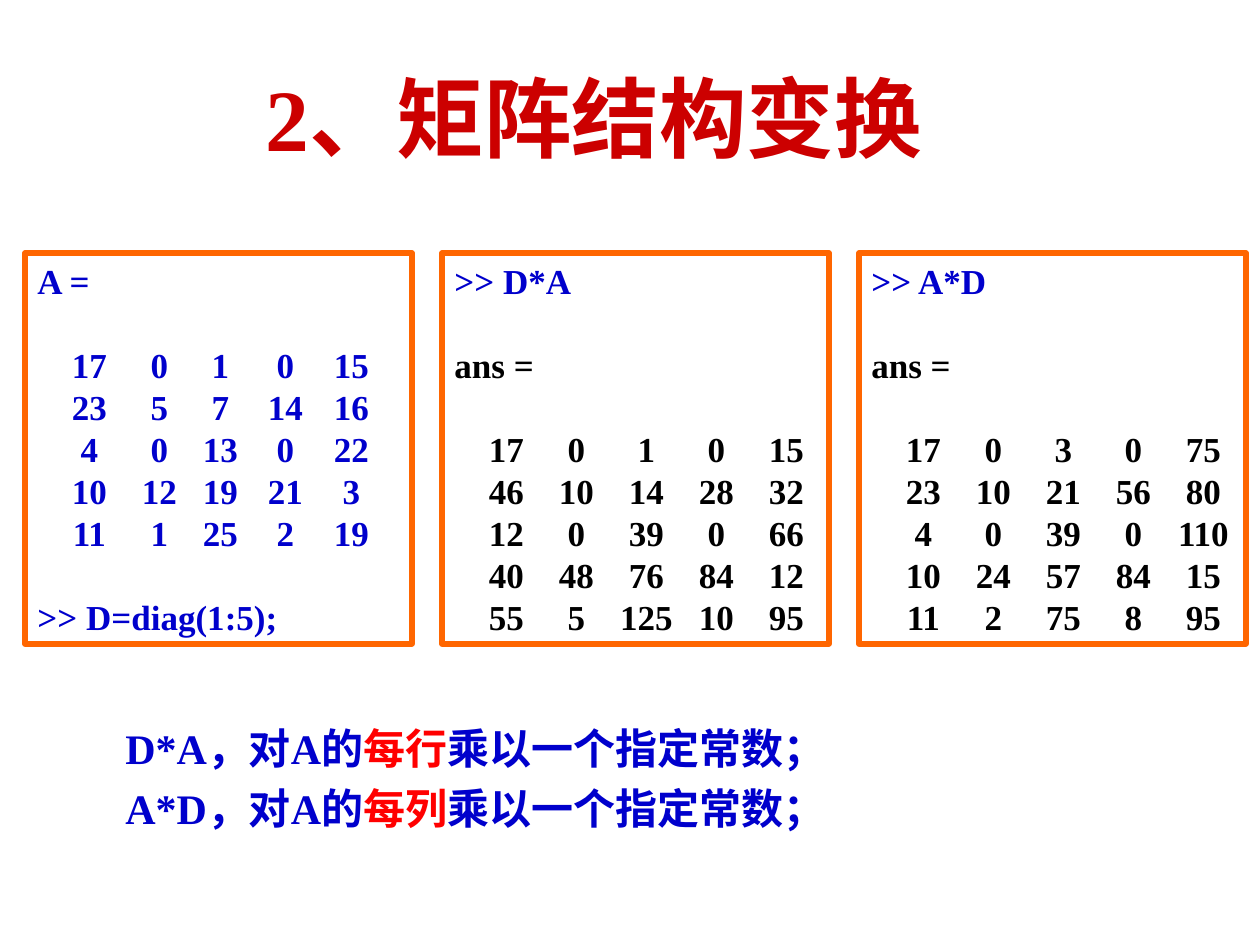
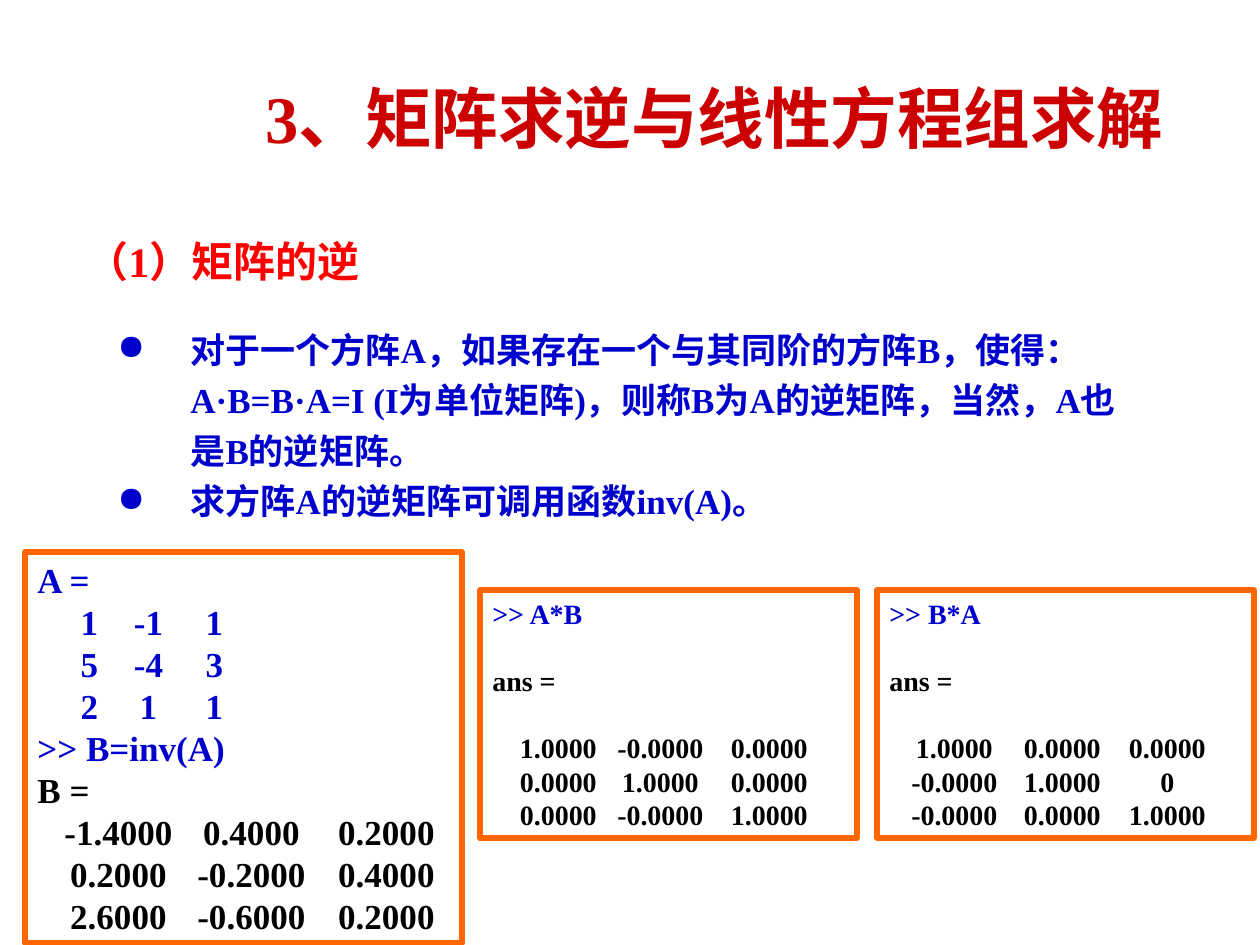
from dataclasses import dataclass

from lxml.etree import SubElement
from pptx import Presentation
from pptx.dml.color import RGBColor
from pptx.enum.lang import MSO_LANGUAGE_ID as Language
from pptx.enum.shapes import MSO_SHAPE as ShapeKind
from pptx.enum.text import MSO_ANCHOR as Anchor, PP_ALIGN as Align
from pptx.oxml.ns import qn
from pptx.util import Emu, Pt

PX_PER_INCH = 126
FONT = "Times New Roman"
LINE_HEIGHT = 1.2

TITLE_RED = RGBColor(0xCC, 0x00, 0x00)
BLUE = RGBColor(0x00, 0x00, 0xCC)
RED = RGBColor(0xFF, 0x00, 0x00)
BLACK = RGBColor(0x00, 0x00, 0x00)
ORANGE = RGBColor(0xFF, 0x66, 0x00)

WIDE_COLUMNS = (52, 122, 192, 262, 332)


def px(length: int) -> Emu:
    return Emu(round(length * 914400 / PX_PER_INCH))


@dataclass(frozen=True)
class Box:
    left: int
    top: int
    width: int
    height: int

    def emu(self) -> tuple[Emu, ...]:
        return tuple(px(side) for side in (self.left, self.top, self.width, self.height))


@dataclass(frozen=True)
class Block:
    """Console output: one plain line, or matrix rows centred on column stops."""
    rows: tuple[str, ...]
    color: RGBColor = BLUE
    columns: tuple[int, ...] = ()
    blank_above: bool = False


@dataclass(frozen=True)
class Panel:
    box: Box
    size: int
    blocks: tuple[Block, ...]


def product_blocks(command: str, columns: tuple[int, ...], *rows: str) -> tuple[Block, ...]:
    return (
        Block((command,)),
        Block(("ans =",), BLACK, blank_above=True),
        Block(rows, BLACK, columns, blank_above=True),
    )


TOP_ROW = [Box(25 + 417 * column, 253, 387, 391) for column in range(3)]
PRODUCT_ROW = [Box(480 + 397 * column, 590, 377, 248) for column in range(2)]

STRUCTURE_PANELS = (
    Panel(TOP_ROW[0], 20, (
        Block(("A =",)),
        Block(("17 0 1 0 15", "23 5 7 14 16", "4 0 13 0 22", "10 12 19 21 3", "11 1 25 2 19"),
              columns=(52, 122, 183, 248, 314), blank_above=True),
        Block((">> D=diag(1:5);",), blank_above=True),
    )),
    Panel(TOP_ROW[1], 20, product_blocks(
        ">> D*A", WIDE_COLUMNS,
        "17 0 1 0 15", "46 10 14 28 32", "12 0 39 0 66", "40 48 76 84 12", "55 5 125 10 95")),
    Panel(TOP_ROW[2], 20, product_blocks(
        ">> A*D", WIDE_COLUMNS,
        "17 0 3 0 75", "23 10 21 56 80", "4 0 39 0 110", "10 24 57 84 15", "11 2 75 8 95")),
)

INVERSE_PANELS = (
    Panel(Box(25, 552, 437, 391), 20, (
        Block(("A =",)),
        Block(("1 -1 1", "5 -4 3", "2 1 1"), columns=(52, 111, 177)),
        Block((">> B=inv(A)",)),
        Block(("B =",), BLACK),
        Block(("-1.4000 0.4000 0.2000", "0.2000 -0.2000 0.4000", "2.6000 -0.6000 0.2000"),
              BLACK, (81, 214, 349)),
    )),
    Panel(PRODUCT_ROW[0], 16, product_blocks(
        ">> A*B", (66, 168, 277),
        "1.0000 -0.0000 0.0000", "0.0000 1.0000 0.0000", "0.0000 -0.0000 1.0000")),
    Panel(PRODUCT_ROW[1], 16, product_blocks(
        ">> B*A", (65, 173, 278),
        "1.0000 0.0000 0.0000", "-0.0000 1.0000 0", "-0.0000 0.0000 1.0000")),
)


def format_paragraph(paragraph, size: int, color: RGBColor, spacing: float = 1) -> None:
    paragraph.alignment = Align.LEFT
    paragraph.line_spacing = Pt(size * LINE_HEIGHT * spacing)
    for run in paragraph.runs:
        run.font.name = FONT
        run.font.size = Pt(size)
        run.font.bold = True
        run.font.color.rgb = color
        run.font.language_id = Language.SIMPLIFIED_CHINESE


def add_column_stops(paragraph, columns: tuple[int, ...]) -> None:
    stops = SubElement(paragraph._p.get_or_add_pPr(), qn("a:tabLst"))
    for column in columns:
        SubElement(stops, qn("a:tab"), pos=str(px(column)), algn="ctr")


def add_bullet(paragraph, color: RGBColor, indent: int) -> None:
    properties = paragraph._p.get_or_add_pPr()
    properties.set("marL", str(px(indent)))
    properties.set("indent", str(px(-indent)))
    bullet_color = SubElement(properties, qn("a:buClr"))
    SubElement(bullet_color, qn("a:srgbClr"), val=str(color))
    SubElement(properties, qn("a:buChar"), char="●")


def add_text(slide, box: Box, text: str, size: int, color: RGBColor, spacing: float = 1):
    frame = slide.shapes.add_textbox(*box.emu()).text_frame
    frame.word_wrap = True
    frame.text = text
    for paragraph in frame.paragraphs:
        format_paragraph(paragraph, size, color, spacing)
    return frame


def add_title(slide, text: str, size: int) -> None:
    frame = add_text(slide, Box(253, 38, 944, 158), text, size, TITLE_RED)
    frame.vertical_anchor = Anchor.MIDDLE


def add_panel(slide, panel: Panel) -> None:
    shape = slide.shapes.add_shape(ShapeKind.RECTANGLE, *panel.box.emu())
    shape.shadow.inherit = False
    shape.fill.background()
    shape.line.color.rgb = ORANGE
    shape.line.width = Pt(3)
    frame = shape.text_frame
    frame.word_wrap = True
    frame.vertical_anchor = Anchor.TOP

    lines = [(block, index, row) for block in panel.blocks for index, row in enumerate(block.rows)]
    for number, (block, index, row) in enumerate(lines):
        paragraph = frame.add_paragraph() if number else frame.paragraphs[0]
        paragraph.text = "\t" + "\t".join(row.split()) if block.columns else row
        format_paragraph(paragraph, panel.size, block.color)
        if block.blank_above and index == 0:
            paragraph.space_before = Pt(panel.size * LINE_HEIGHT)
        if block.columns:
            add_column_stops(paragraph, block.columns)


def add_scaling_rules(slide) -> None:
    """Two sentences, each with its key word in red."""
    frame = add_text(slide, Box(113, 706, 1022, 134), "D*A，对A的\nA*D，对A的", 24, BLUE)
    for paragraph, key_word in zip(frame.paragraphs, ("每行", "每列")):
        for part in (key_word, "乘以一个指定常数；"):
            paragraph.add_run().text = part
        format_paragraph(paragraph, 24, BLUE, 1.2)
        paragraph.runs[1].font.color.rgb = RED


def build_structure_slide(slide) -> None:
    add_title(slide, "2、矩阵结构变换", 50)
    for panel in STRUCTURE_PANELS:
        add_panel(slide, panel)
    add_scaling_rules(slide)


def build_inverse_slide(slide) -> None:
    add_title(slide, "3、矩阵求逆与线性方程组求解", 38)
    add_text(slide, Box(74, 224, 1090, 69), "（1）矩阵的逆", 24, RED, 1.1)
    definition = add_text(
        slide, Box(105, 314, 1052, 214),
        "对于一个方阵A，如果存在一个与其同阶的方阵B，使得：\v"
        "A·B=B·A=I (I为单位矩阵)，则称B为A的逆矩阵，当然，A也是B的逆矩阵。\n"
        "求方阵A的逆矩阵可调用函数inv(A)。",
        20, BLUE, 1.2)
    for paragraph in definition.paragraphs:
        add_bullet(paragraph, BLUE, 73)
    for panel in INVERSE_PANELS:
        add_panel(slide, panel)


def main() -> None:
    presentation = Presentation()
    presentation.slide_width = px(1260)
    presentation.slide_height = px(945)
    blank = presentation.slide_layouts[6]
    for build in (build_structure_slide, build_inverse_slide):
        build(presentation.slides.add_slide(blank))
    presentation.save("out.pptx")


if __name__ == "__main__":
    main()
